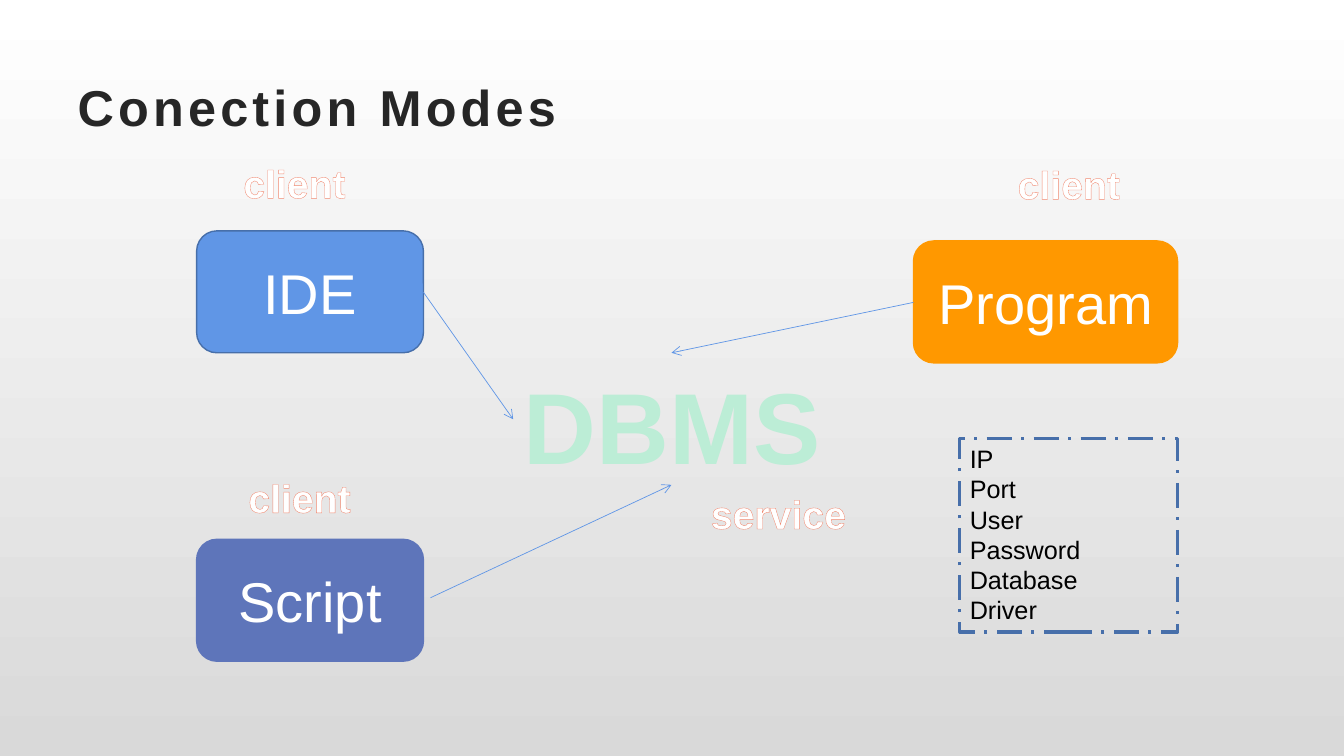
from typing import NamedTuple

from lxml.etree import SubElement
from pptx import Presentation
from pptx.dml.color import RGBColor
from pptx.enum.dml import MSO_LINE_DASH_STYLE as Dash
from pptx.enum.shapes import MSO_CONNECTOR as Connector, MSO_SHAPE as Shape
from pptx.enum.text import MSO_ANCHOR as Anchor, PP_ALIGN as Align
from pptx.oxml import parse_xml
from pptx.oxml.ns import nsdecls, qn
from pptx.slide import Slide
from pptx.text.text import Font, TextFrame
from pptx.util import Inches, Pt

FONT = "Arial"
WHITE = RGBColor(0xFF, 0xFF, 0xFF)
BLACK = RGBColor(0x00, 0x00, 0x00)
GREY = RGBColor(0xD9, 0xD9, 0xD9)
DARK = RGBColor(0x26, 0x26, 0x26)
BLUE = RGBColor(0x60, 0x96, 0xE6)
DEEP_BLUE = RGBColor(0x47, 0x6F, 0xAA)
INDIGO = RGBColor(0x5E, 0x75, 0xBA)
ORANGE = RGBColor(0xFF, 0x98, 0x00)
MINT = RGBColor(0xBC, 0xED, 0xD6)
CORAL = RGBColor(0xF1, 0x88, 0x70)


class Client(NamedTuple):
    """A program that connects to the database."""
    name: str
    left: float
    top: float
    width: float
    fill: RGBColor
    line: RGBColor


class Arrow(NamedTuple):
    """A connection, from a client towards the database."""
    x1: float
    y1: float
    x2: float
    y2: float


class Label(NamedTuple):
    """Bold centred words without a frame."""
    text: str
    left: float
    top: float
    width: float
    height: float = 0.57
    size: int = 28
    color: RGBColor = WHITE
    outlined: bool = True
    wrap: bool = False


CLIENTS = [
    Client("IDE", 1.95, 2.29, 2.25, BLUE, DEEP_BLUE),
    Client("Script", 1.95, 5.35, 2.25, INDIGO, INDIGO),
    Client("Program", 9.06, 2.39, 2.62, ORANGE, ORANGE),
]
ARROWS = [
    Arrow(4.2, 2.9, 5.09, 4.16),
    Arrow(4.27, 5.93, 6.66, 4.81),
    Arrow(9.06, 3, 6.66, 3.5),
]
LABELS = [
    Label("DBMS", 5, 3.56, 3.33, 1.3, 72, MINT, outlined=False),
    Label("client", 9.99, 1.54, 1.22),
    Label("client", 2.31, 1.53, 1.22),
    Label("client", 2.36, 4.65, 1.22),
    Label("service", 6.84, 4.81, 1.76, wrap=True),
]
SETTINGS = ["IP", "Port", "User", "Password", "Database", "Driver"]


def write(frame: TextFrame, lines: list[str], size: int, color: RGBColor,
          align: Align, bold: bool = False) -> list[Font]:
    """Write one paragraph per line and return the fonts of the runs."""
    fonts = []
    for index, line in enumerate(lines):
        para = frame.add_paragraph() if index else frame.paragraphs[0]
        para.alignment = align
        span = para.add_run()
        span.text = line
        font = span.font
        font.name, font.size, font.bold = FONT, Pt(size), bold
        font.color.rgb = color
        fonts.append(font)
    return fonts


def add_title(page: Slide, text: str) -> None:
    """Place the title with wide letter spacing."""
    title = page.shapes.title
    title.left, title.top = Inches(0.67), Inches(0.67)
    title.width, title.height = Inches(12), Inches(0.77)
    frame = title.text_frame
    frame.vertical_anchor = Anchor.MIDDLE
    write(frame, [text], 36, DARK, Align.LEFT, bold=True)
    properties = frame.paragraphs[0].runs[0]._r.get_or_add_rPr()
    properties.set("spc", "300")


def add_client(page: Slide, client: Client) -> None:
    """Draw a client as a rounded box with its name."""
    box = page.shapes.add_shape(
        Shape.ROUNDED_RECTANGLE, Inches(client.left), Inches(client.top),
        Inches(client.width), Inches(1.21))
    box.shadow.inherit = False
    box.fill.solid()
    box.fill.fore_color.rgb = client.fill
    box.line.color.rgb = client.line
    box.line.width = Pt(1)
    box.text_frame.vertical_anchor = Anchor.MIDDLE
    write(box.text_frame, [client.name], 40, WHITE, Align.CENTER)


def add_arrow(page: Slide, arrow: Arrow) -> None:
    """Draw a thin line with an open arrowhead at its end."""
    link = page.shapes.add_connector(
        Connector.STRAIGHT, *(Inches(value) for value in arrow))
    link.line.color.rgb = BLUE
    link.line.width = Pt(0.5)
    SubElement(link.line._get_or_add_ln(), qn("a:tailEnd"), type="arrow")
    SubElement(link._element.spPr, qn("a:effectLst"))


def add_label(page: Slide, label: Label) -> None:
    """Place a label, with a thin outline around its letters if asked."""
    box = page.shapes.add_textbox(
        Inches(label.left), Inches(label.top),
        Inches(label.width), Inches(label.height))
    frame = box.text_frame
    frame.word_wrap = label.wrap
    write(frame, [label.text], label.size, label.color, Align.CENTER, bold=True)
    if label.outlined:
        outline = parse_xml(
            f'<a:ln {nsdecls("a")} w="{Pt(0.8)}"><a:solidFill>'
            f'<a:srgbClr val="{CORAL}"/></a:solidFill></a:ln>')
        frame.paragraphs[0].runs[0]._r.get_or_add_rPr().insert(0, outline)


def add_settings(page: Slide, names: list[str]) -> None:
    """List the connection settings in a dashed frame."""
    box = page.shapes.add_shape(
        Shape.RECTANGLE, Inches(9.52), Inches(4.35), Inches(2.16), Inches(1.92))
    box.shadow.inherit = False
    box.fill.background()
    box.line.color.rgb = DEEP_BLUE
    box.line.width = Pt(2.25)
    box.line.dash_style = Dash.LONG_DASH_DOT
    box.text_frame.word_wrap = True
    box.text_frame.vertical_anchor = Anchor.TOP
    write(box.text_frame, names, 18, BLACK, Align.LEFT)


def paint_background(page: Slide) -> None:
    """Fade the background from white at the top to grey."""
    fill = page.background.fill
    fill.gradient()
    fill.gradient_angle = 270
    for stop, position, color in zip(fill.gradient_stops, (0, 1), (WHITE, GREY)):
        stop.position = position
        stop.color.rgb = color


def main() -> None:
    """Build the slide and save it."""
    deck = Presentation()
    deck.slide_width, deck.slide_height = Inches(13.33), Inches(7.5)
    page = deck.slides.add_slide(deck.slide_layouts.get_by_name("Title Only"))
    paint_background(page)
    add_title(page, "Conection Modes")
    for client in CLIENTS:
        add_client(page, client)
    for arrow in ARROWS:
        add_arrow(page, arrow)
    add_settings(page, SETTINGS)
    for label in LABELS:
        add_label(page, label)
    deck.save("out.pptx")


main()
